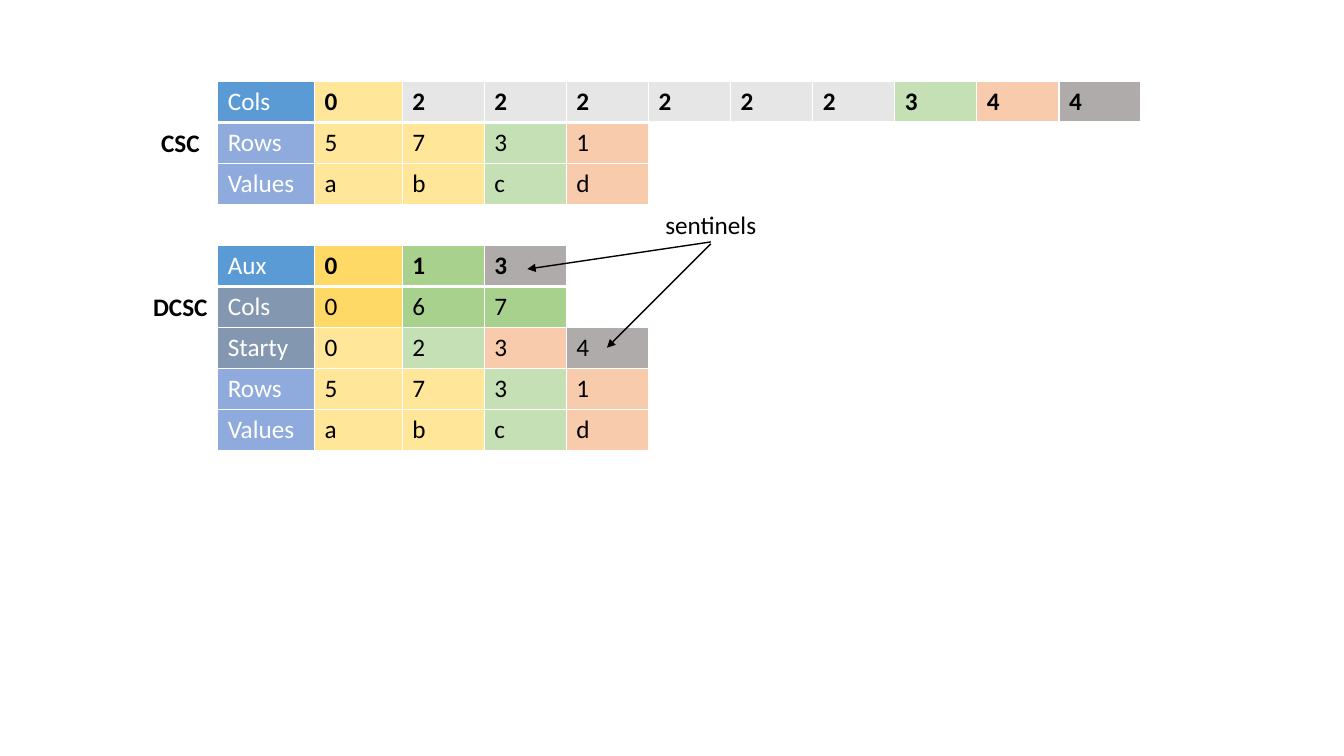
from dataclasses import dataclass

from lxml import etree
from pptx import Presentation
from pptx.dml.color import RGBColor
from pptx.enum.shapes import MSO_CONNECTOR
from pptx.enum.text import MSO_AUTO_SIZE
from pptx.oxml.ns import qn
from pptx.util import Inches, Pt

STRAIGHT = MSO_CONNECTOR.STRAIGHT
GROW = MSO_AUTO_SIZE.SHAPE_TO_FIT_TEXT


@dataclass(frozen=True)
class Theme:
    font: str = "Calibri"
    size: int = 18
    ink: str = "000000"
    paper: str = "FFFFFF"
    header: str = "5B9BD5"
    index: str = "8497B0"
    entry: str = "8FAADC"
    yellow: str = "FFE699"
    gold: str = "FFD966"
    green: str = "C5E0B4"
    leaf: str = "A9D18E"
    peach: str = "F8CBAD"
    pale: str = "E7E6E6"
    grey: str = "AFABAB"
    rule: int = 1
    header_rule: int = 3


THEME = Theme()

# Each row: label, label colour, values, value colours
ENTRIES = [
    ("Rows", "entry", "5731", "yellow yellow green peach"),
    ("Values", "entry", "abcd", "yellow yellow green peach"),
]
CSC = [
    ("Cols", "header", "0222222344",
     "yellow pale pale pale pale pale pale green peach grey"),
    *ENTRIES,
]
DCSC = [
    ("Aux", "header", "013", "gold leaf grey"),
    ("Cols", "index", "067", "gold leaf leaf"),
    ("Starty", "index", "0234", "yellow green peach grey"),
    *ENTRIES,
]

# Grid, in inches
SLIDE_W, SLIDE_H = 13.33, 7.5
LEFT, TOP, GRID_W = 2.16, 0.81, 9.16
ROW_H = 1.22 / 3
LABEL_W, FIRST_W, VALUE_COUNT = 0.96, 0.87, 10
VALUE_W = (GRID_W - LABEL_W - FIRST_W) / (VALUE_COUNT - 1)
COLUMNS = [LABEL_W, FIRST_W] + [VALUE_W] * (VALUE_COUNT - 1)
DCSC_TOP = TOP + (len(CSC) + 1) * ROW_H
TEXT_H = 0.4

# Name, left, top, width, bold, wrap
CAPTIONS = [
    ("CSC", 1.5, TOP + ROW_H, 0.89, True, True),
    ("DCSC", 1.42, DCSC_TOP + ROW_H, 0.97, True, True),
    ("sentinels", 6.5, TOP + 3 * ROW_H, 1.11, False, False),
]
SENTINEL_ARROWS = [((7.05, 2.4), (5.23, 2.67)), ((7.05, 2.42), (6.02, 3.45))]


def write(frame, words, color, bold=False):
    run = frame.paragraphs[0].add_run()
    run.text = words
    style = {"name": THEME.font, "size": Pt(THEME.size), "bold": bold}
    for key, value in style.items():
        setattr(run.font, key, value)
    run.font.color.rgb = RGBColor.from_string(color)


def rule_cell(cell, bottom):
    """Draw white borders, placed ahead of the fill as the schema requires."""
    properties = cell._tc.get_or_add_tcPr()
    widths = {"lnL": THEME.rule, "lnR": THEME.rule, "lnT": THEME.rule, "lnB": bottom}
    for place, (side, width) in enumerate(widths.items()):
        line = etree.Element(qn(f"a:{side}"), w=str(Pt(width)))
        fill = etree.SubElement(line, qn("a:solidFill"))
        etree.SubElement(fill, qn("a:srgbClr"), val=THEME.paper)
        properties.insert(place, line)


def add_matrix(slide, rows, top):
    table = slide.shapes.add_table(
        len(rows), len(COLUMNS), Inches(LEFT), Inches(top),
        Inches(GRID_W), Inches(ROW_H * len(rows))).table
    table.horz_banding = False
    for column, width in zip(table.columns, COLUMNS):
        column.width = Inches(width)
    for r, (label, label_fill, values, value_fills) in enumerate(rows):
        table.rows[r].height = Inches(ROW_H)
        words = [label, *values]
        fills = [label_fill, *value_fills.split()]
        for c in range(len(COLUMNS)):
            cell = table.cell(r, c)
            filled = c < len(words)
            cell.fill.solid()
            cell.fill.fore_color.rgb = RGBColor.from_string(
                getattr(THEME, fills[c] if filled else "paper"))
            rule_cell(cell, THEME.rule if r else THEME.header_rule)
            if filled:
                write(cell.text_frame, words[c],
                      THEME.ink if c else THEME.paper, bold=r == 0 and c > 0)


def add_caption(slide, words, left, top, width, bold, wrap):
    frame = slide.shapes.add_textbox(
        Inches(left), Inches(top), Inches(width), Inches(TEXT_H)).text_frame
    frame.word_wrap = wrap
    frame.auto_size = GROW
    write(frame, words, THEME.ink, bold)


def add_arrow(slide, start, end):
    arrow = slide.shapes.add_connector(
        STRAIGHT, *(Inches(n) for n in (*start, *end)))
    arrow.line.color.rgb = RGBColor.from_string(THEME.ink)
    arrow.line.width = Pt(THEME.rule)
    etree.SubElement(arrow.line._get_or_add_ln(), qn("a:tailEnd"), type="triangle")
    etree.SubElement(arrow._element.spPr, qn("a:effectLst"))


def main():
    deck = Presentation()
    deck.slide_width, deck.slide_height = Inches(SLIDE_W), Inches(SLIDE_H)
    slide = deck.slides.add_slide(deck.slide_layouts[6])
    add_matrix(slide, CSC, TOP)
    add_matrix(slide, DCSC, DCSC_TOP)
    for start, end in SENTINEL_ARROWS:
        add_arrow(slide, start, end)
    for caption in CAPTIONS:
        add_caption(slide, *caption)
    deck.save("out.pptx")


if __name__ == "__main__":
    main()
